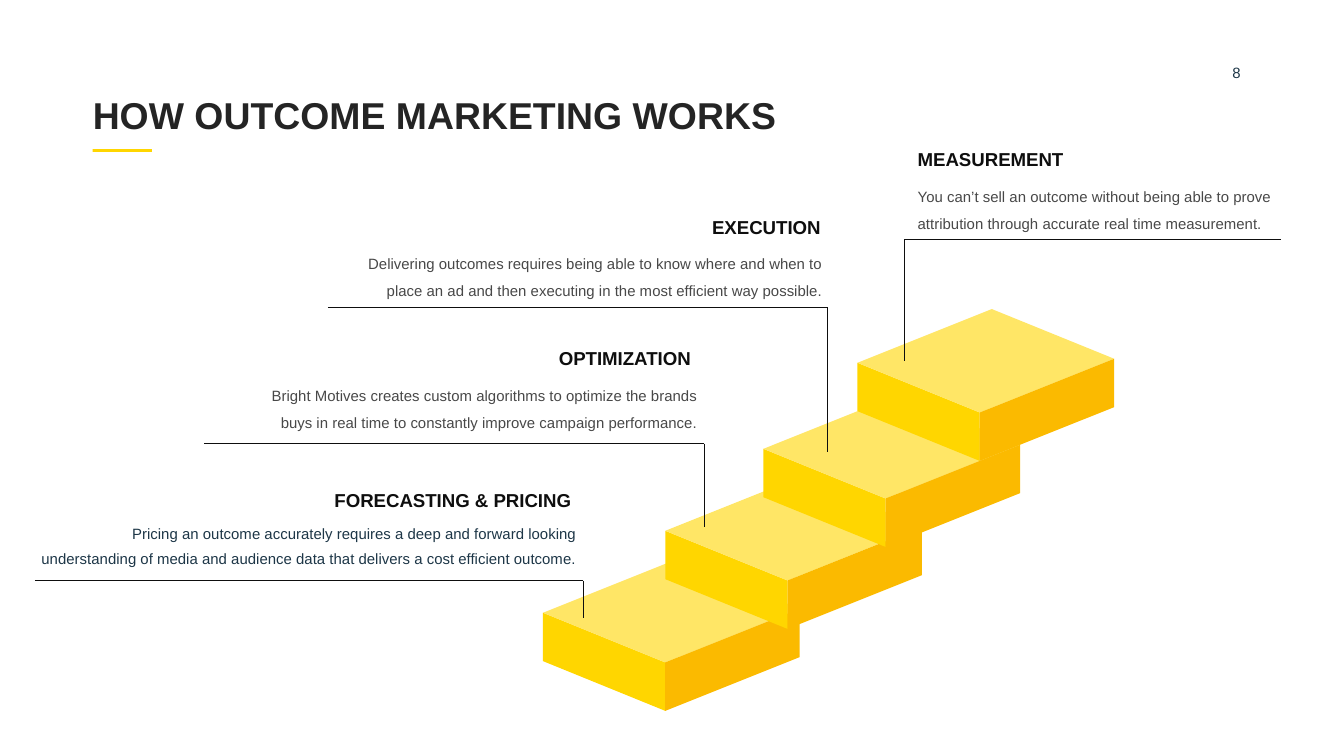
import pptx
import pptx.dml.color
import pptx.enum.shapes
import pptx.enum.text
import pptx.oxml.ns
import pptx.util
from lxml import etree

Inches = pptx.util.Inches
ALIGN = pptx.enum.text.PP_ALIGN
COLORS = {
    "title": "242424", "accent": "FFD600", "ink": "0E0E0E",
    "body": "484848", "navy": "1D3647",
    "front": "FFD600", "top": "FFE666", "side": "FBBA00",
}
STEP_FACES = [
    ("front", [(0.91, 1.13), (0, 0.76), (0, 0.4), (0.91, 0.77)]),
    ("top", [(0.91, 0.77), (0, 0.4), (1, 0), (1.91, 0.37)]),
    ("side", [(1.91, 0.37), (1.91, 0.73), (0.91, 1.13), (0.91, 0.77)]),
]
STEPS = [(4.04, 4.16), (4.95, 3.55), (5.68, 2.94), (6.38, 2.3)]
CALLOUTS = [
    dict(box=(6.73, 1.05, 2.8, 0.73), heading="MEASUREMENT", heading_span=(0, 1.3),
         body="You can’t sell an outcome without being able to prove "
              "attribution through accurate real time measurement.",
         body_box=(0, 0.23, 2.97, 0.5), drop=0.91, on_left=True),
    dict(box=(2.44, 1.56, 3.72, 0.73), heading="EXECUTION", heading_span=(2.76, 1.02),
         body="Delivering outcomes requires being able to know where and when to "
              "place an ad and then executing in the most efficient way possible.",
         body_box=(0.16, 0.22, 3.62, 0.48), drop=1.07),
    dict(box=(1.52, 2.53, 3.72, 0.77), heading="OPTIMIZATION", heading_span=(2.54, 1.2),
         body="Bright Motives creates custom algorithms to optimize the brands "
              "buys in real time to constantly improve campaign performance.",
         body_box=(0.15, 0.23, 3.62, 0.48), drop=0.62),
    dict(box=(0.26, 3.59, 4.08, 0.73), heading="FORECASTING & PRICING", heading_span=(2.13, 1.98),
         body="Pricing an outcome accurately requires a deep and forward looking "
              "understanding of media and audience data that delivers a cost efficient outcome.",
         body_box=(-0.11, 0.21, 4.24, 0.48), drop=0.28, color="navy", spacing=1.4),
]


def rgb(name):
    """Return the named colour."""
    return pptx.dml.color.RGBColor.from_string(COLORS[name])


def paint(shape, color):
    """Give a shape a plain fill with no line or shadow."""
    shape.shadow.inherit = False
    shape.fill.solid()
    shape.fill.fore_color.rgb = rgb(color)
    shape.line.fill.background()


def add_text(page, box, text, size, color, bold=False, align=ALIGN.LEFT,
             spacing=1.0, wrap=True, inset=True):
    """Place one paragraph of Arial text and return its frame."""
    frame = page.shapes.add_textbox(*map(Inches, box)).text_frame
    frame.word_wrap = wrap
    if inset:
        frame.auto_size = pptx.enum.text.MSO_AUTO_SIZE.SHAPE_TO_FIT_TEXT
    else:
        frame.margin_left = frame.margin_right = 0
        frame.margin_top = frame.margin_bottom = 0
    para = frame.paragraphs[0]
    para.text = text
    para.alignment = align
    para.line_spacing = spacing
    para.font.name = "Arial"
    para.font.size = pptx.util.Pt(size)
    para.font.bold = bold
    para.font.color.rgb = rgb(color)
    return frame


def add_line(page, start, end):
    """Draw a thin straight line without a shadow."""
    line = page.shapes.add_connector(
        pptx.enum.shapes.MSO_CONNECTOR.STRAIGHT, *map(Inches, start + end))
    line.line.color.rgb = rgb("ink")
    line.line.width = pptx.util.Pt(0.5)
    etree.SubElement(line._element.spPr, pptx.oxml.ns.qn("a:effectLst"))


def add_header(page, box):
    """Place the title, its accent bar and the page number."""
    left, top, width, height = box
    title = add_text(page, box, "HOW OUTCOME MARKETING WORKS", 20, "title",
                     bold=True, spacing=0.9, inset=False)
    title.vertical_anchor = pptx.enum.text.MSO_ANCHOR.MIDDLE
    bar = page.shapes.add_shape(
        pptx.enum.shapes.MSO_SHAPE.RECTANGLE,
        *map(Inches, (left, top + 0.42, 0.44, 0.02)))
    paint(bar, "accent")
    add_text(page, (left + 8.48, top - 0.22, 0.43, 0.16), "8", 8, "navy", inset=False)


def add_step(page, left, top):
    """Draw one stair block from its three visible faces."""
    for color, corners in STEP_FACES:
        points = [(Inches(left + x), Inches(top + y)) for x, y in corners]
        builder = page.shapes.build_freeform(*points[0])
        builder.add_line_segments(points[1:], close=True)
        paint(builder.convert_to_shape(), color)


def add_callout(page, box, heading, heading_span, body, body_box, drop,
                on_left=False, color="body", spacing=1.5):
    """Place a heading and text above a rule that drops to its step."""
    left, top, width, height = box
    right, base = left + width, top + height
    heading_x, heading_width = heading_span
    body_x, body_y, body_width, body_height = body_box
    add_text(page, (left + heading_x, top, heading_width, 0.27), heading, 10, "ink",
             bold=True, wrap=False)
    add_text(page, (left + body_x, top + body_y, body_width, body_height), body, 8, color,
             align=ALIGN.LEFT if on_left else ALIGN.RIGHT, spacing=spacing)
    corner = left if on_left else right
    add_line(page, (left, base), (right, base))
    add_line(page, (corner, base), (corner, base + drop))


def main():
    """Build and save the slide."""
    deck = pptx.Presentation()
    deck.slide_width, deck.slide_height = Inches(10), Inches(10 * 9 / 16)
    page = deck.slides.add_slide(deck.slide_layouts[6])
    add_header(page, (0.69, 0.69, 8.62, 0.37))
    for left, top in STEPS:
        add_step(page, left, top)
    for callout in CALLOUTS:
        add_callout(page, **callout)
    deck.save("out.pptx")


if __name__ == "__main__":
    main()
